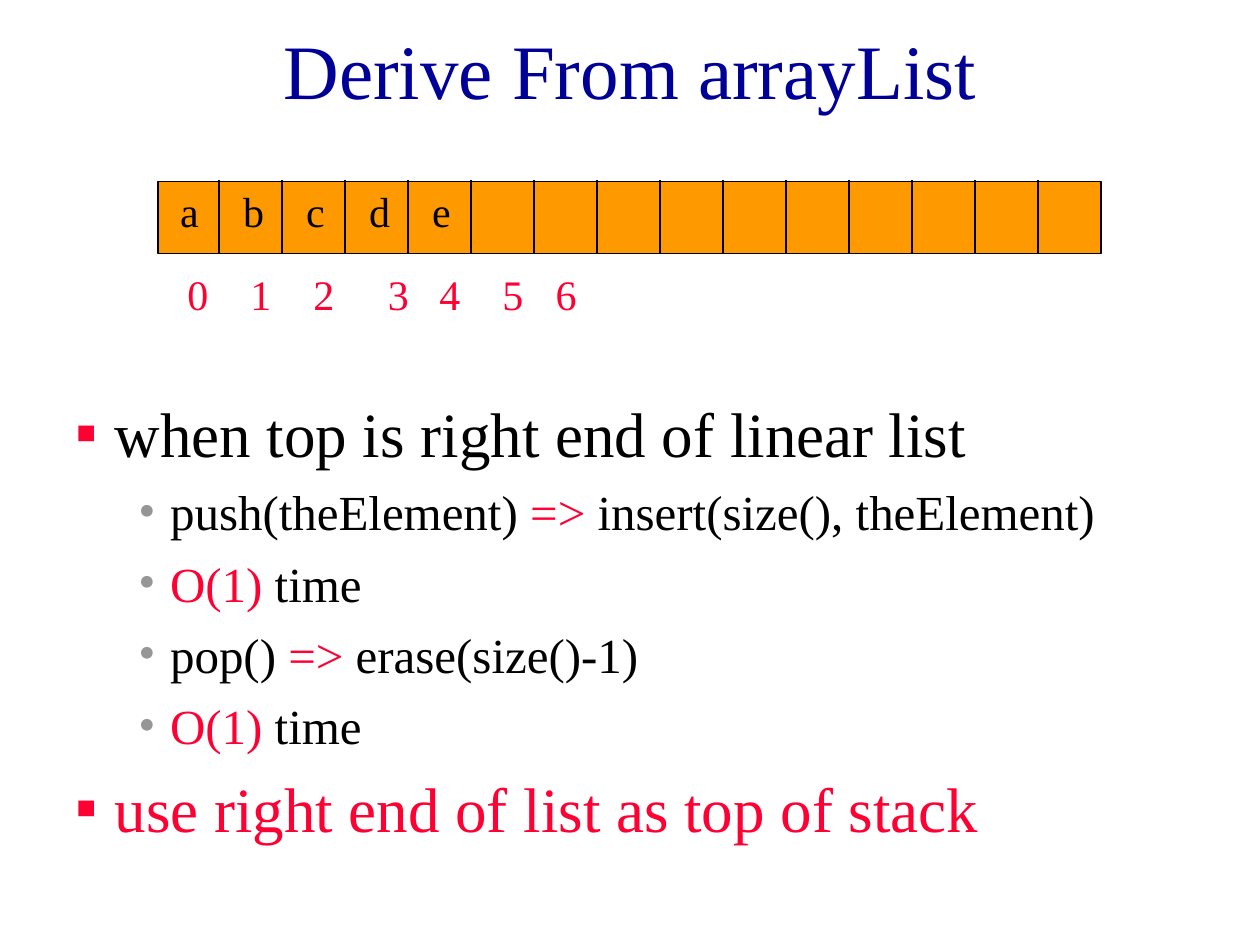
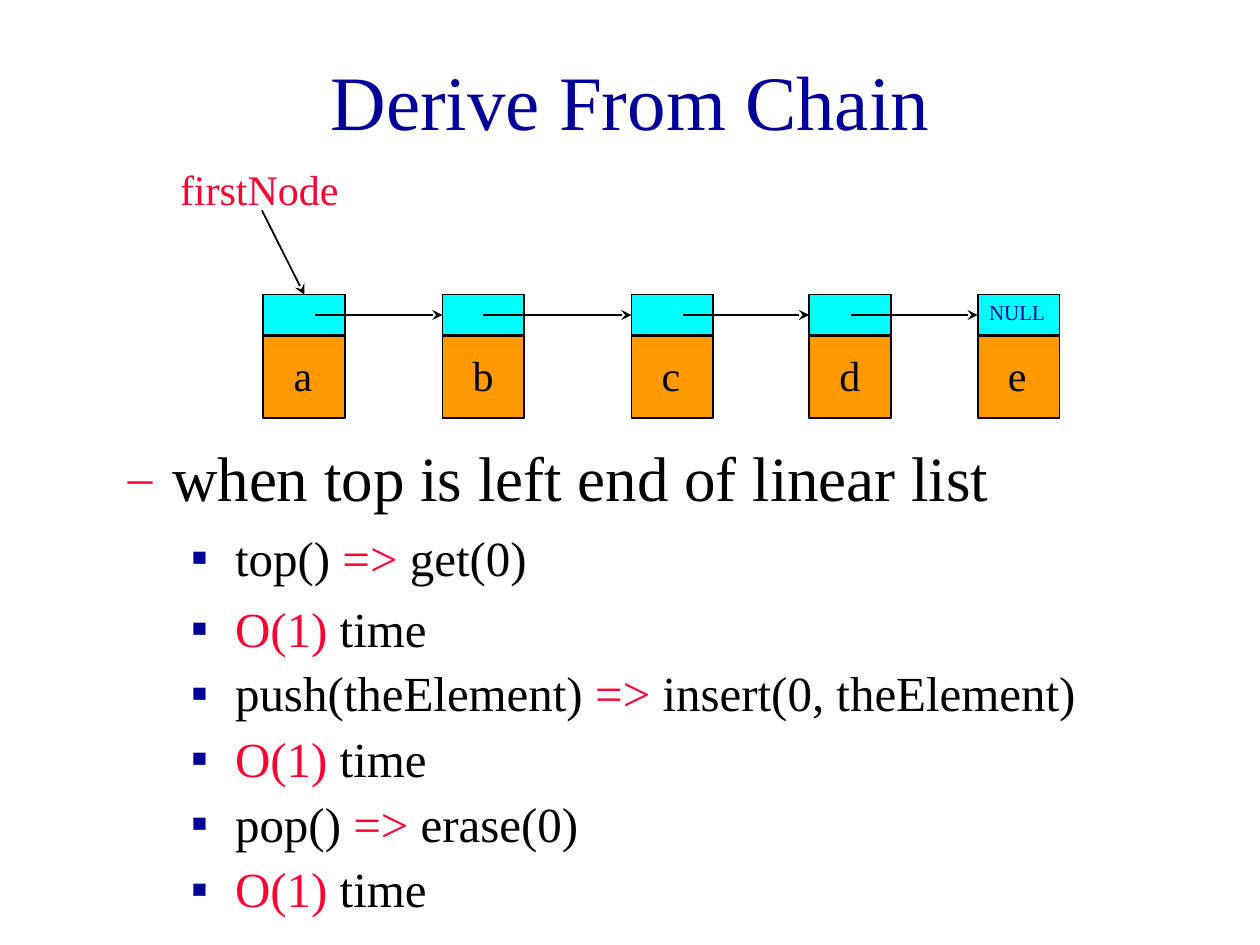
"""Build two slides on deriving a stack from an array list and from a chain."""
from lxml import etree
from pptx import Presentation
from pptx import util as u
from pptx.dml.color import RGBColor
from pptx.enum import shapes, text
from pptx.oxml.ns import qn

FONT = "Times New Roman"
NAVY = RGBColor(0x00, 0x00, 0x99)
RED = RGBColor(0xFF, 0x00, 0x33)
BLACK = RGBColor(0x00, 0x00, 0x00)
GREY = RGBColor(0x96, 0x96, 0x96)
ORANGE = RGBColor(0xFF, 0x99, 0x00)
CYAN = RGBColor(0x00, 0xFF, 0xFF)

CONSTANT_TIME = [("O(1) ", RED), ("time", BLACK)]


def add_span(para, words, size, color):
    span = para.add_run()
    span.text = words
    span.font.name = FONT
    span.font.size = u.Pt(size)
    span.font.color.rgb = color


def add_box(page, left, top, width, height, wrap=True):
    box = page.shapes.add_textbox(u.Cm(left), u.Cm(top), u.Cm(width), u.Cm(height))
    box.text_frame.word_wrap = wrap
    return box.text_frame


def add_title(page, words, height):
    frame = add_box(page, 1.91, 0.43, 21.59, height)
    frame.vertical_anchor = text.MSO_ANCHOR.MIDDLE
    para = frame.paragraphs[0]
    para.alignment = text.PP_ALIGN.CENTER
    add_span(para, words, 44, NAVY)


def add_label(page, words, left, top, color=BLACK, width=0.92, height=1.27, size=24):
    frame = add_box(page, left, top, width, height, wrap=False)
    add_span(frame.paragraphs[0], words, size, color)


def add_rectangle(page, left, top, width, height, color):
    rectangle = page.shapes.add_shape(
        shapes.MSO_SHAPE.RECTANGLE, u.Cm(left), u.Cm(top), u.Cm(width), u.Cm(height))
    rectangle.shadow.inherit = False
    rectangle.fill.solid()
    rectangle.fill.fore_color.rgb = color
    rectangle.line.color.rgb = BLACK
    rectangle.line.width = u.Pt(1)
    return rectangle


def add_line(page, start, end):
    line = page.shapes.add_connector(
        shapes.MSO_CONNECTOR.STRAIGHT, *(u.Cm(value) for value in (*start, *end)))
    line.line.color.rgb = BLACK
    line.line.width = u.Pt(1)
    etree.SubElement(line.element.spPr, qn("a:effectLst"))
    return line


def add_arrow(page, start, end, target, side):
    arrow = add_line(page, start, end)
    arrow.end_connect(target, side)
    outline = arrow.element.spPr.find(qn("a:ln"))
    etree.SubElement(outline, qn("a:tailEnd"), type="stealth")


def set_bullet(para, mark, color, margin, hanging, percent):
    properties = para._p.get_or_add_pPr()
    properties.set("marL", str(u.Cm(margin)))
    properties.set("indent", str(-u.Cm(hanging)))
    bullet_color = etree.SubElement(properties, qn("a:buClr"))
    etree.SubElement(bullet_color, qn("a:srgbClr"), val=str(color))
    etree.SubElement(properties, qn("a:buSzPct"), val=str(percent * 1000))
    etree.SubElement(properties, qn("a:buFont"), typeface=FONT)
    etree.SubElement(properties, qn("a:buChar"), char=mark)


def add_outline(frame, items, levels):
    """Fill a frame with (level, spacing, spans) items styled by their level."""
    for index, (level, spacing, spans) in enumerate(items):
        size, space_before, bullet = levels[level]
        para = frame.add_paragraph() if index else frame.paragraphs[0]
        set_bullet(para, *bullet)
        para.line_spacing = spacing
        if index:
            para.space_before = u.Pt(space_before)
        for words, color in spans:
            add_span(para, words, size, color)


def call(operation, result):
    return [(operation + " ", BLACK), ("=>", RED), (" " + result, BLACK)]


def add_array(page):
    pitch = 1.27
    add_rectangle(page, 3.18, 3.66, 19.02, 1.45, ORANGE)
    for index in range(14):
        divider = 4.42 + index * pitch
        add_line(page, (divider, 3.63), (divider, 5.13))
    for index, left in enumerate((3.53, 4.8, 6.07, 7.57, 8.61, 9.88, 10.95)):
        add_label(page, str(index), left, 5.28, RED)
    for index, element in enumerate("abcde"):
        add_label(page, element, 3.38 + index * pitch, 3.61)


def add_chain(page):
    side, link_top, link_height = 1.65, 5.94, 0.82
    middle = link_top + link_height / 2
    lefts = (5.31, 8.92, 12.73, 16.31, 19.71)
    links = []
    for element, left in zip("abcde", lefts):
        add_rectangle(page, left, 6.78, side, side, ORANGE)
        links.append(add_rectangle(page, left, link_top, side, link_height, CYAN))
        add_label(page, element, left + 0.36, 6.93)
    for start, left, link in zip((6.35, 9.73, 13.77, 17.15), lefts[1:], links[1:]):
        add_arrow(page, (start, middle), (left, middle), link, 1)
    add_label(page, "NULL", 19.69, 5.92, NAVY, 1.7, 0.76, 12)
    add_label(page, "firstNode", 3.38, 3.18, RED, 4.65)
    add_arrow(page, (5.28, 4.24), (lefts[0] + side / 2, link_top), links[0], 0)


def build_array_page(page):
    add_title(page, "Derive From arrayList", 1.91)
    levels = {
        1: (36, 9, ("▪", RED, 2.06, 0.79, 100)),
        2: (28, 7, ("•", GREY, 3.18, 0.64, 100)),
    }
    add_outline(add_box(page, 0, 7.82, 24.13, 9.73), [
        (1, 1.0, [("when top is right end of linear list", BLACK)]),
        (2, 1.0, call("push(theElement)", "insert(size(), theElement)")),
        (2, 1.0, CONSTANT_TIME),
        (2, 1.0, call("pop()", "erase(size()-1)")),
        (2, 1.0, CONSTANT_TIME),
        (1, 1.0, [("use right end of list as top of stack", RED)]),
    ], levels)
    add_array(page)


def build_chain_page(page):
    add_title(page, "Derive From Chain", 3.18)
    add_chain(page)
    levels = {
        1: (36, 9, ("–", RED, 1.52, 0.89, 78)),
        2: (28, 7, ("▪", NAVY, 2.79, 0.89, 100)),
    }
    add_outline(add_box(page, 1.7, 8.89, 23.7, 10.16), [
        (1, 0.9, [("when top is left end of linear list", BLACK)]),
        (2, 1.0, call("top()", "get(0)")),
        (2, 1.0, CONSTANT_TIME),
        (2, 0.9, call("push(theElement)", "insert(0, theElement)")),
        (2, 0.9, CONSTANT_TIME),
        (2, 0.9, call("pop()", "erase(0)")),
        (2, 0.9, CONSTANT_TIME),
    ], levels)


def main():
    deck = Presentation()
    deck.slide_width, deck.slide_height = u.Cm(25.4), u.Cm(19.05)
    for build_page in (build_array_page, build_chain_page):
        build_page(deck.slides.add_slide(deck.slide_layouts[6]))
    deck.save("out.pptx")


if __name__ == "__main__":
    main()
